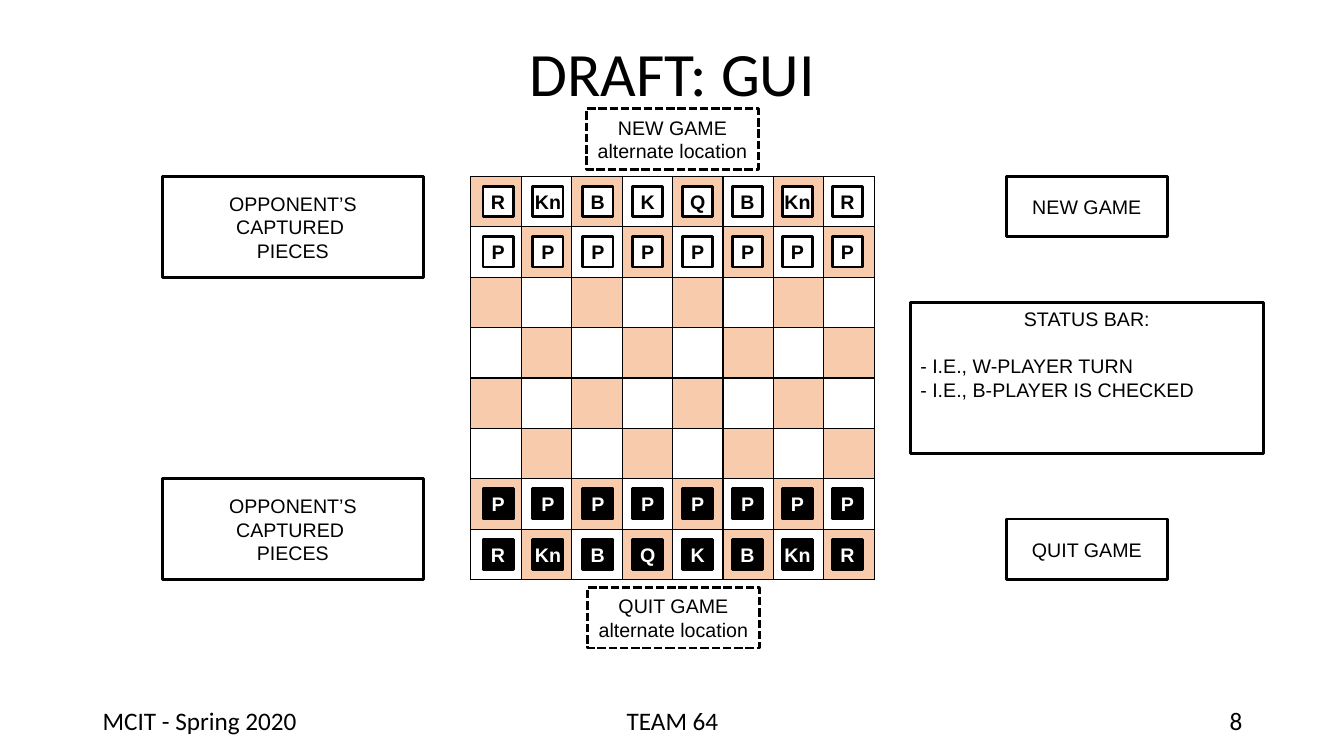
from lxml.etree import SubElement
from pptx import Presentation
from pptx.dml.color import RGBColor
from pptx.enum.dml import MSO_LINE
from pptx.enum.shapes import MSO_SHAPE
from pptx.enum.text import MSO_ANCHOR, PP_ALIGN
from pptx.oxml.ns import qn
from pptx.util import Inches, Pt

BLACK = RGBColor(0x00, 0x00, 0x00)
WHITE = RGBColor(0xFF, 0xFF, 0xFF)
PEACH = RGBColor(0xF8, 0xCB, 0xAD)

# The grid starts at the board's top left corner; one unit is one square
SQUARE, BOARD_LEFT, BOARD_TOP, SIZE = 0.5, 4.67, 1.75, 8
PAWNS = ["P"] * SIZE
TOP_RANK = ["R", "Kn", "B", "K", "Q", "B", "Kn", "R"]
BOTTOM_RANK = ["R", "Kn", "B", "Q", "K", "B", "Kn", "R"]
CAPTURED = ["OPPONENT’S", "CAPTURED ", "PIECES"]


def place(column, row, columns, rows):
    """Turn grid units into left, top, width and height."""
    return (Inches(BOARD_LEFT + column * SQUARE), Inches(BOARD_TOP + row * SQUARE),
            Inches(columns * SQUARE), Inches(rows * SQUARE))


def write(frame, lines, size, font="Arial", color=BLACK, bold=False,
          align=PP_ALIGN.CENTER):
    frame.word_wrap = True
    for index, line in enumerate(lines):
        para = frame.add_paragraph() if index else frame.paragraphs[0]
        para.text = line
        para.alignment = align
        para.font.name, para.font.size = font, Pt(size)
        para.font.bold, para.font.color.rgb = bold, color


def add_panel(shapes, area, lines, fill=None, color=BLACK, bold=False):
    box = shapes.add_shape(MSO_SHAPE.RECTANGLE, *place(*area))
    box.shadow.inherit = False
    if fill is None:
        box.fill.background()
    else:
        box.fill.solid()
        box.fill.fore_color.rgb = fill
    box.line.color.rgb, box.line.width = BLACK, Pt(2)
    box.text_frame.vertical_anchor = MSO_ANCHOR.MIDDLE
    write(box.text_frame, lines, 14, color=color, bold=bold)
    return box


def add_title(page, text):
    title = page.shapes.title
    title.left, title.top, title.width, title.height = place(-7.5, -3.44, 23, 2.9)
    title.text_frame.vertical_anchor = MSO_ANCHOR.MIDDLE
    write(title.text_frame, [text], 44, font="Calibri")
    title.text_frame.paragraphs[0].line_spacing = 0.9


def add_footer(page, column, columns, text, align):
    box = page.shapes.add_textbox(*place(column, 10.4, columns, 0.8))
    write(box.text_frame, [text], 18, font="Calibri", align=align)


def outline(cell):
    properties = cell._tc.get_or_add_tcPr()
    for index, side in enumerate(("a:lnL", "a:lnR", "a:lnT", "a:lnB")):
        border = properties.makeelement(qn(side), {"w": str(Pt(1))})
        fill = SubElement(border, qn("a:solidFill"))
        SubElement(fill, qn("a:srgbClr"), val=str(BLACK))
        properties.insert(index, border)


def add_board(page):
    frame = page.shapes.add_table(SIZE, SIZE, *place(0, 0, SIZE, SIZE))
    board = frame.table
    board.first_row = board.horz_banding = False
    for row in range(SIZE):
        for column in range(SIZE):
            cell = board.cell(row, column)
            if (row + column) % 2:
                cell.fill.background()
            else:
                cell.fill.solid()
                cell.fill.fore_color.rgb = PEACH
            outline(cell)


def add_army(page, first_row, ranks, fill, color):
    army = page.shapes.add_group_shape()
    for row, rank in enumerate(ranks, first_row):
        for column, name in enumerate(rank):
            area = (0.24 + column * 0.99, row + 0.2, 0.6, 0.6)
            frame = add_panel(army.shapes, area, [name], fill, color, True).text_frame
            frame.margin_left = frame.margin_right = 0
            frame.margin_top = frame.margin_bottom = 0


def add_status(page):
    lines = ["STATUS BAR:", "- I.E., W-PLAYER TURN", "- I.E., B-PLAYER IS CHECKED"]
    frame = add_panel(page.shapes, (8.72, 2.5, 7, 3), lines).text_frame
    frame.vertical_anchor = MSO_ANCHOR.TOP
    heading, *examples = frame.paragraphs
    heading.space_after = Pt(16.5)
    for para in examples:
        para.alignment = PP_ALIGN.LEFT


def main():
    deck = Presentation()
    deck.slide_width, deck.slide_height = Inches(13.33), Inches(7.5)
    page = deck.slides.add_slide(deck.slide_layouts[5])

    # Title and footer
    add_title(page, "DRAFT: GUI")
    add_footer(page, -7.5, 6, "MCIT - Spring 2020", PP_ALIGN.LEFT)
    add_footer(page, -0.5, 9, "TEAM 64", PP_ALIGN.CENTER)
    add_footer(page, 9.5, 6, "8", PP_ALIGN.RIGHT)

    # Board and pieces
    add_board(page)
    add_army(page, 0, [TOP_RANK, PAWNS], WHITE, BLACK)
    add_army(page, 6, [PAWNS, BOTTOM_RANK], BLACK, WHITE)

    # Captured pieces and status
    for row in (0, 6):
        add_panel(page.shapes, (-6.12, row, 5.18, 2), CAPTURED)
    add_status(page)

    # Buttons, each with a dashed alternate
    for label, row, other_column, other_row in (
            ("NEW GAME", 0, 2.3, -1.34), ("QUIT GAME", 6.8, 2.32, 8.16)):
        add_panel(page.shapes, (10.62, row, 3.2, 1.2), [label])
        alternate = add_panel(page.shapes, (other_column, other_row, 3.4, 1.2),
                              [label, "alternate location"])
        alternate.line.dash_style = MSO_LINE.SQUARE_DOT

    deck.save("out.pptx")


main()
